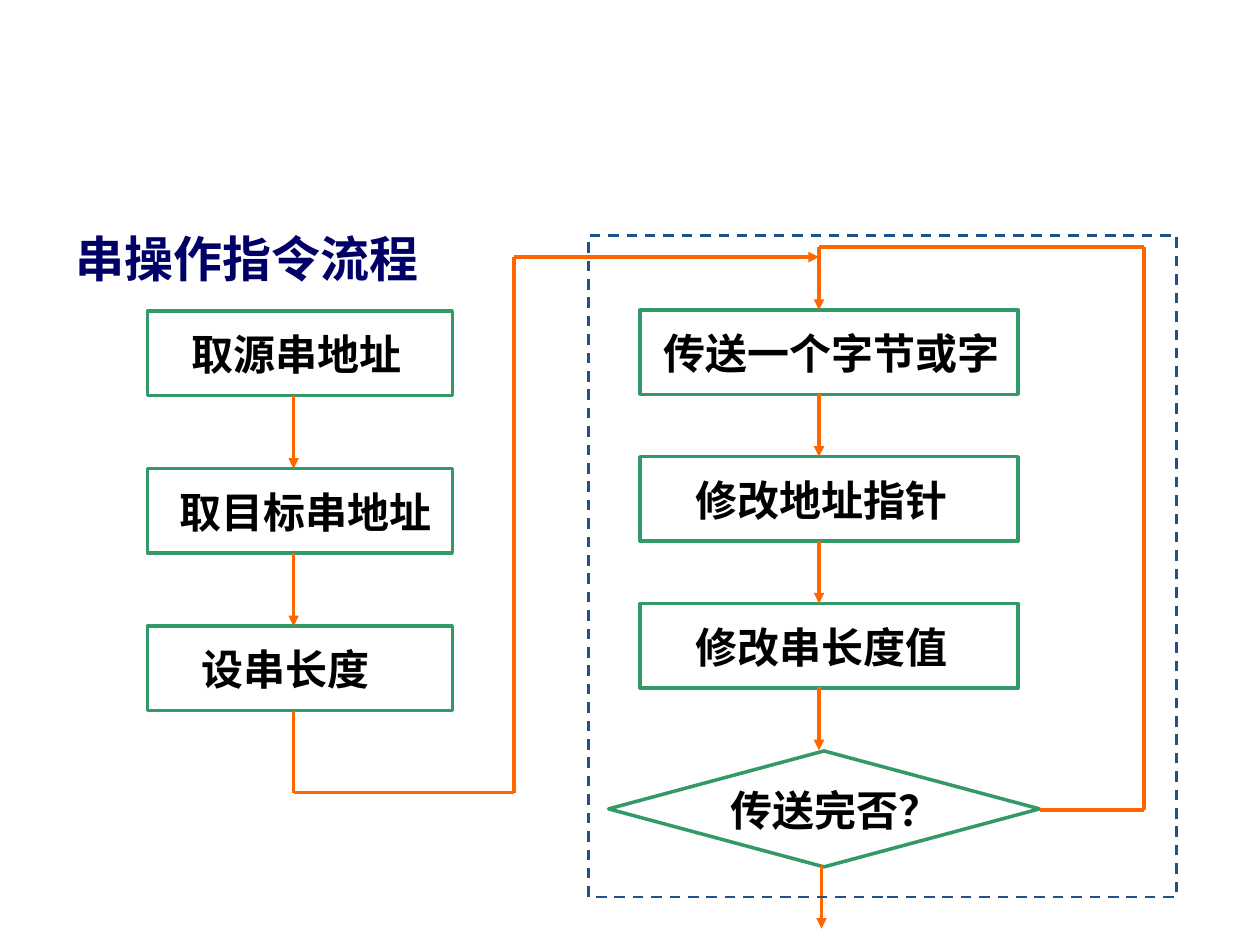
import dataclasses

import pptx
import pptx.dml.color
import pptx.enum.dml
import pptx.enum.shapes
import pptx.enum.text
import pptx.oxml
import pptx.oxml.ns
import pptx.util
from pptx.util import Inches

SHAPE = pptx.enum.shapes.MSO_SHAPE
TEXT = pptx.enum.text


@dataclasses.dataclass(frozen=True)
class Theme:
    font: str = "Times New Roman"
    title: str = "000066"
    text: str = "000000"
    box: str = "339966"
    arrow: str = "FF6600"
    frame: str = "1D528D"
    title_size: float = 28
    text_size: float = 24
    line: float = 2
    frame_line: float = 1.5


class Flowchart:
    """Draws flowchart elements on one slide in the style of a theme."""

    def __init__(self, slide, theme):
        self.slide = slide
        self.theme = theme

    def set_text(self, s, text, size, color):
        tf = s.text_frame
        frame_format = {
            "word_wrap": True,
            "auto_size": TEXT.MSO_AUTO_SIZE.NONE,
            "vertical_anchor": TEXT.MSO_ANCHOR.TOP,
        }
        for name, value in frame_format.items():
            setattr(tf, name, value)
        p = tf.paragraphs[0]
        p.alignment = TEXT.PP_ALIGN.LEFT
        r = p.add_run()
        r.text = text
        font_format = {"name": self.theme.font, "size": pptx.util.Pt(size), "bold": True}
        for name, value in font_format.items():
            setattr(r.font, name, value)
        r.font.color.rgb = pptx.dml.color.RGBColor.from_string(color)
        return p

    def set_line(self, s, color, width):
        s.line.color.rgb = pptx.dml.color.RGBColor.from_string(color)
        s.line.width = pptx.util.Pt(width)

    def title(self, text, left, top, width, height):
        s = self.slide.shapes.title
        place = {"left": left, "top": top, "width": width, "height": height}
        for name, value in place.items():
            setattr(s, name, Inches(value))
        p = self.set_text(s, text, self.theme.title_size, self.theme.title)
        p.line_spacing = 1.2

    def outline(self, kind, left, top, width, height, color, line):
        s = self.slide.shapes.add_shape(
            kind, Inches(left), Inches(top), Inches(width), Inches(height))
        s.shadow.inherit = False
        s.fill.background()
        self.set_line(s, color, line)
        return s

    def label(self, text, left, top, width):
        s = self.slide.shapes.add_textbox(
            Inches(left), Inches(top), Inches(width), Inches(0.5))
        self.set_text(s, text, self.theme.text_size, self.theme.text)

    def step(self, text, kind, box, text_left, text_top, text_width):
        self.outline(kind, *box, self.theme.box, self.theme.line)
        self.label(text, text_left, text_top, text_width)

    def line(self, start, end, arrow=False):
        s = self.slide.shapes.add_connector(
            pptx.enum.shapes.MSO_CONNECTOR.STRAIGHT,
            *(Inches(v) for v in (*start, *end)))
        self.set_line(s, self.theme.arrow, self.theme.line)
        if arrow:
            tail = pptx.oxml.parse_xml(
                f'<a:tailEnd {pptx.oxml.ns.nsdecls("a")} type="triangle"/>')
            s.line._get_or_add_ln().append(tail)
        s._element.spPr.append(
            pptx.oxml.parse_xml(f'<a:effectLst {pptx.oxml.ns.nsdecls("a")}/>'))

    def route(self, *points, arrow=False):
        last = len(points) - 2
        for i, (start, end) in enumerate(zip(points, points[1:])):
            self.line(start, end, arrow and i == last)

    def frame(self, left, top, width, height):
        s = self.outline(SHAPE.RECTANGLE, left, top, width, height,
                         self.theme.frame, self.theme.frame_line)
        s.line.dash_style = pptx.enum.dml.MSO_LINE.DASH


def main():
    prs = pptx.Presentation()
    prs.slide_width, prs.slide_height = Inches(10), Inches(7.5)
    chart = Flowchart(prs.slides.add_slide(prs.slide_layouts[5]), Theme())
    chart.title("串操作指令流程", 0.5, 1.67, 9.17, 5.25)

    box_height = 0.67
    columns = [
        (1.17, 2.47, 2.42, 1.25, [
            ("取源串地址", 1.42, 2.08),
            ("取目标串地址", 1.33, 2.42),
            ("设串长度", 1.5, 2.08),
        ]),
        (5.08, 2.46, 3, 1.165, [
            ("传送一个字节或字", 5.17, 2.92),
            ("修改地址指针", 5.42, 2.33),
            ("修改串长度值", 5.42, 2.33),
        ]),
    ]
    for left, first_top, width, pitch, steps in columns:
        for i, (text, text_left, text_width) in enumerate(steps):
            top = first_top + i * pitch
            chart.step(text, SHAPE.RECTANGLE, (left, top, width, box_height),
                       text_left, top + 0.09, text_width)
    chart.step("传送完否？", SHAPE.FLOWCHART_DECISION, (4.83, 5.96, 3.42, 0.92),
               5.7, 6.18, 2.08)

    setup_x, loop_x, exit_x = 2.33, 6.5, 6.52
    for i in range(2):
        bottom = 2.47 + box_height + i * 1.25
        chart.line((setup_x, bottom), (setup_x, bottom + 0.58), arrow=True)
    for i in range(4):
        top = 1.96 + i * 1.165
        chart.line((loop_x, top), (loop_x, top + 0.5), arrow=True)
    chart.line((exit_x, 6.87), (exit_x, 7.37), arrow=True)
    chart.route((8.25, 6.43), (9.08, 6.43), (9.08, 1.96), (loop_x, 1.96))
    chart.route((setup_x, 5.64), (setup_x, 6.29), (4.08, 6.29), (4.08, 2.04),
                (loop_x, 2.04), arrow=True)
    chart.frame(4.67, 1.87, 4.67, 5.25)
    prs.save("out.pptx")


if __name__ == "__main__":
    main()
